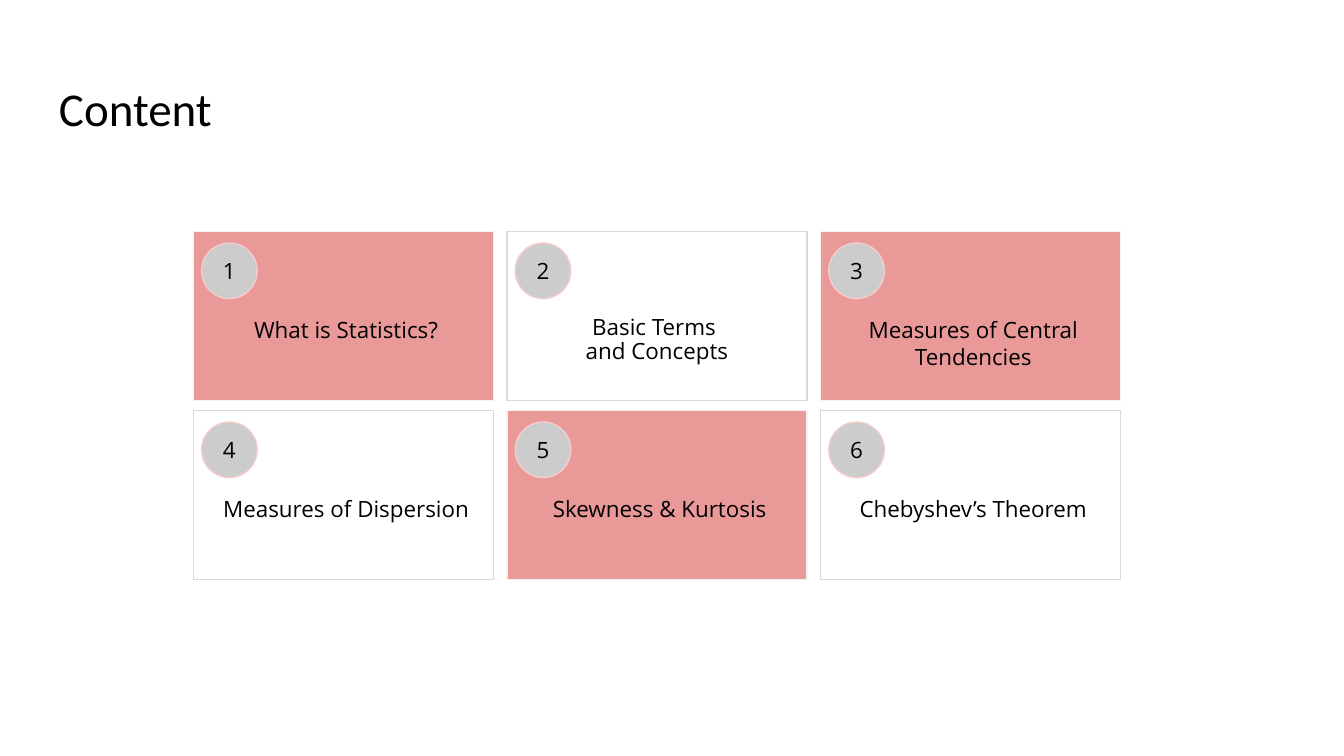
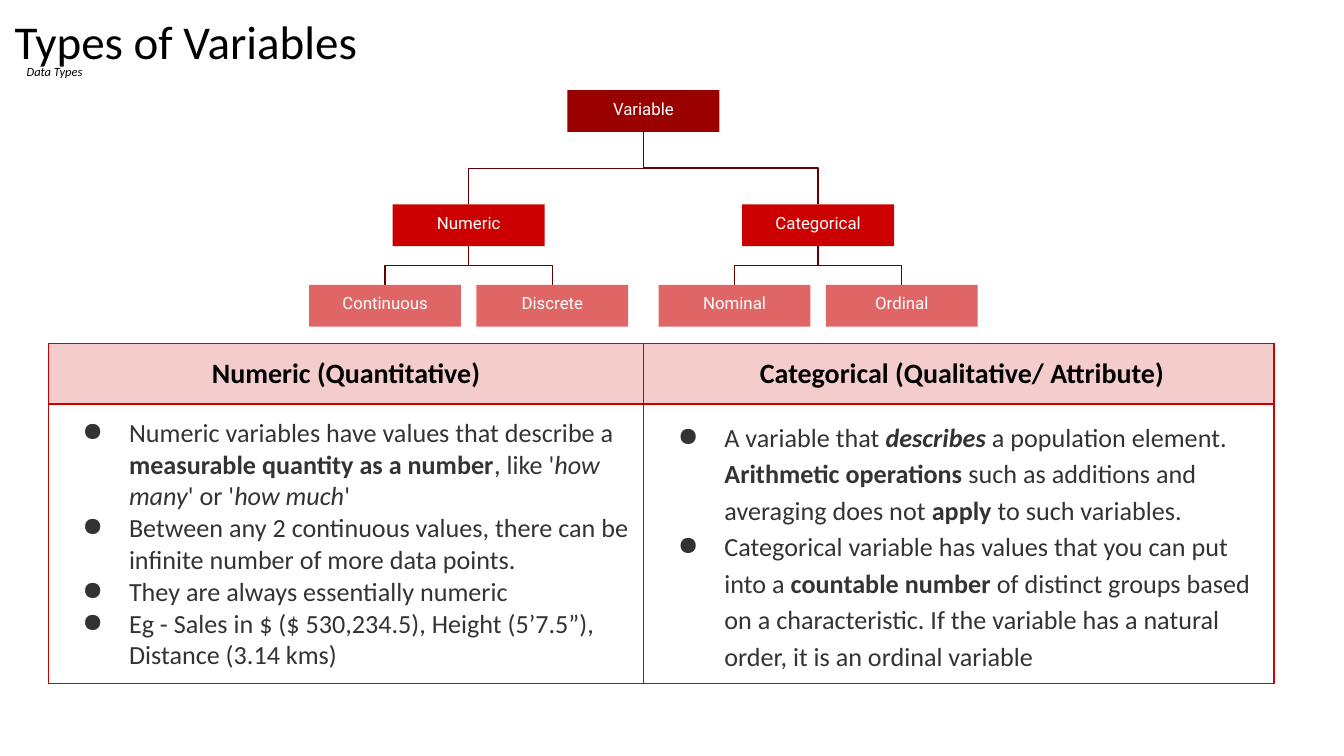
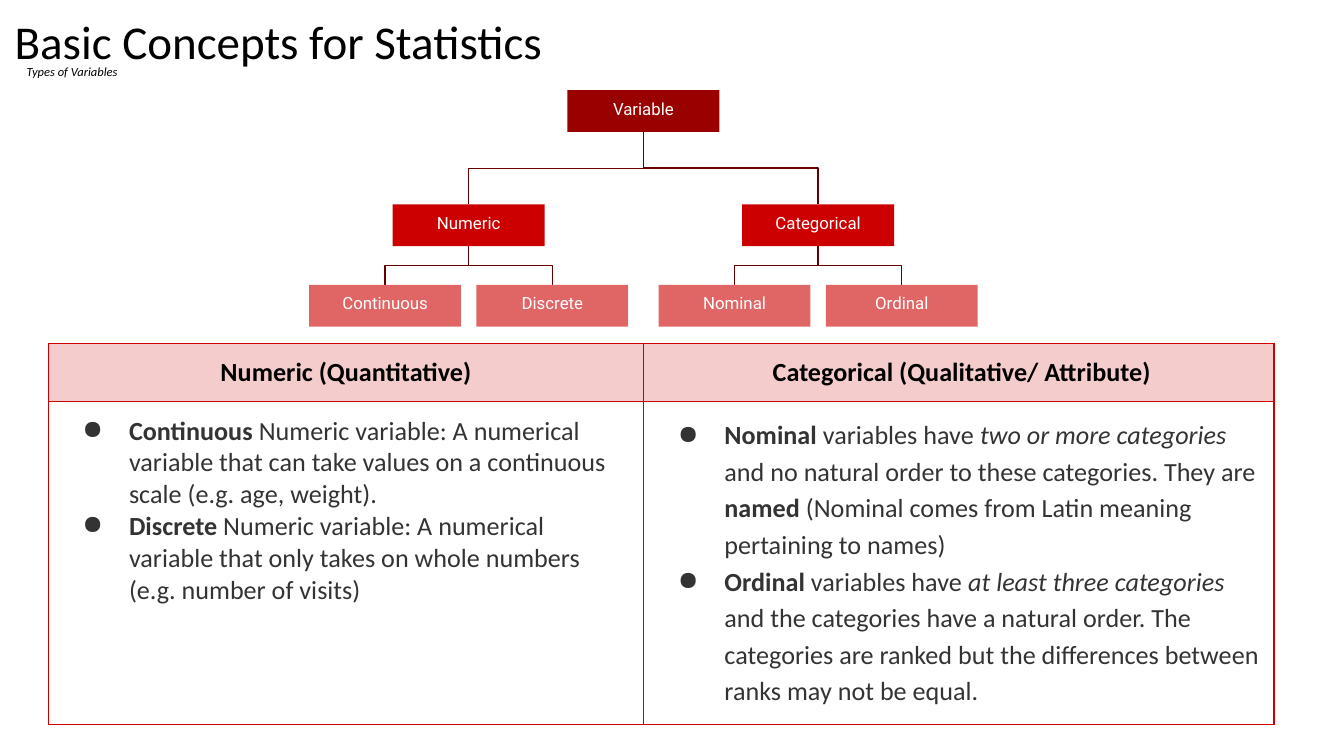
from lxml.etree import SubElement
from pptx import Presentation
from pptx.dml.color import RGBColor
from pptx.enum.shapes import MSO_CONNECTOR, MSO_SHAPE
from pptx.enum.text import MSO_ANCHOR, PP_ALIGN
from pptx.oxml.ns import qn
from pptx.util import Pt

BLACK, GREY, WHITE = "000000", "333333", "FFFFFF"
ROSE, PINK, RED = "EA9999", "F4CCCC", "CC0000"
MAROON = "660000"
BODY, LABEL, NODE = "Calibri", "Open Sans", "Roboto"
INSET = 7.2
LEVELS = [(48.3, "990000"), (109.5, RED), (152.6, "E06666")]
SPREAD = [93.6, 44.8]
NODE_W, NODE_H = 81.4, 22.4

TOPICS = [
    ["What is Statistics?"],
    ["Basic Terms ", "and Concepts"],
    ["Measures of Central Tendencies"],
    ["Measures of Dispersion"],
    ["Skewness & Kurtosis"],
    ["Chebyshev’s Theorem"],
]

TREE = ("Variable", [
    ("Numeric", [("Continuous", []), ("Discrete", [])]),
    ("Categorical", [("Nominal", []), ("Ordinal", [])]),
])

HEADS = ["Numeric (Quantitative)", " Categorical (Qualitative/ Attribute)"]

# A paragraph is a string or a list of runs; a run is a string or (text, "b" / "i" / "bi").
TYPES = [
    [
        ["Numeric variables have values that describe a ",
         ("measurable quantity as a number", "b"), ", like '", ("how many", "i"),
         "' or '", ("how much", "i"), "'"],
        "Between any 2 continuous values, there can be infinite number of more data points.",
        "They are always essentially numeric",
        "Eg - Sales in $ ($ 530,234.5), Height (5’7.5”), Distance (3.14 kms)",
    ],
    [
        ["A variable that ", ("describes", "bi"), " a population element. ",
         ("Arithmetic operations", "b"), " such as additions and averaging does not ",
         ("apply", "b"), " to such variables."],
        ["Categorical variable has values that you can put into a ",
         ("countable number", "b"),
         " of distinct groups based on a characteristic. If the variable has a natural "
         "order, it is an ordinal variable"],
    ],
]

BASICS = [
    [
        [("Continuous", "b"), " Numeric variable: A numerical variable that can take "
         "values on a continuous scale (e.g. age, weight)."],
        [("Discrete", "b"), " Numeric variable: A numerical variable that only takes on "
         "whole numbers (e.g. number of visits)"],
    ],
    [
        [("Nominal", "b"), " variables have ", ("two or more categories", "i"),
         " and no natural order to these categories. They are ", ("named ", "b"),
         "(Nominal comes from Latin meaning pertaining to names)"],
        [("Ordinal", "b"), " variables have ", ("at least three categories", "i"),
         " and the categories have a natural order. The categories are ranked but the "
         "differences between ranks may not be equal."],
    ],
]


def color(code):
    return RGBColor.from_string(code)


def bullet(para):
    props = para._p.get_or_add_pPr()
    props.set("marL", str(Pt(36)))
    props.set("indent", str(Pt(-25)))
    tint = SubElement(props, qn("a:buClr"))
    SubElement(tint, qn("a:srgbClr")).set("val", GREY)
    SubElement(props, qn("a:buChar")).set("char", "●")


def write(frame, paras, size=12, font=BODY, ink=BLACK, align=PP_ALIGN.LEFT,
          style="", spacing=None, after=None, dots=False):
    for i, runs in enumerate(paras):
        para = frame.add_paragraph() if i else frame.paragraphs[0]
        para.alignment = align
        if spacing:
            para.line_spacing = spacing
        if after:
            para.space_after = Pt(after)
        if dots:
            bullet(para)
        for part in [runs] if isinstance(runs, str) else runs:
            words, marks = (part, style) if isinstance(part, str) else part
            run = para.add_run()
            run.text = words
            run.font.name, run.font.size = font, Pt(size)
            run.font.color.rgb = color(ink)
            run.font.bold, run.font.italic = "b" in marks, "i" in marks


def setup(frame, anchor=MSO_ANCHOR.TOP, inset=INSET):
    frame.word_wrap = True
    frame.vertical_anchor = anchor
    frame.margin_left = frame.margin_right = Pt(inset)
    frame.margin_top = frame.margin_bottom = Pt(inset)
    return frame


def label(slide, box, paras, **form):
    area = slide.shapes.add_textbox(*map(Pt, box))
    write(setup(area.text_frame), paras, **form)


def shape(slide, kind, box, fill=None, line=None):
    item = slide.shapes.add_shape(kind, *map(Pt, box))
    item.shadow.inherit = False
    if fill:
        item.fill.solid()
        item.fill.fore_color.rgb = color(fill)
    else:
        item.fill.background()
    if line:
        item.line.color.rgb = color(line)
        item.line.width = Pt(0.75)
    else:
        item.line.fill.background()
    return item


def title(slide, left, top, words):
    label(slide, (left, top, 671, 45.4), [words], size=25.2)


def tile(slide, box, num, lines):
    left, top, wide, high = box
    fill, edge = (ROSE, "F3F3F3") if num % 2 else (None, "D9D9D9")
    shape(slide, MSO_SHAPE.RECTANGLE, box, fill, edge)
    disc = shape(slide, MSO_SHAPE.OVAL, (left + 4.3, top + 6.2, 29.8, 29.8), "CCCCCC", PINK)
    write(setup(disc.text_frame, MSO_ANCHOR.MIDDLE, 0), [str(num)],
          font=LABEL, align=PP_ALIGN.CENTER)
    split = len(lines) > 1
    shift, trim = (8.6, 17.2) if split else (2.9, 2.9)
    label(slide, (left + shift, top + 38.2, wide - trim, high - 38.2), lines,
          font=LABEL, align=PP_ALIGN.CENTER, spacing=0.9 if split else None)


def grid(slide, left, top):
    wide, high = 160.6, 90.6
    for i, lines in enumerate(TOPICS):
        row, col = divmod(i, 3)
        spot = (left + col * (wide + 7.4), top + row * (high + 5.3), wide, high)
        tile(slide, spot, i + 1, lines)


def elbow(slide, start, end):
    """Link a parent's foot to a child's head; a quarter turn makes it leave downwards."""
    (x0, y0), (x1, y1) = start, end
    midx, midy = (x0 + x1) / 2, (y0 + y1) / 2
    reach = abs(x1 - x0) / 2
    drop = (y1 - y0) / 2 if x1 > x0 else (y0 - y1) / 2
    link = slide.shapes.add_connector(MSO_CONNECTOR.ELBOW, Pt(midx + drop), Pt(midy - reach),
                                      Pt(midx - drop), Pt(midy + reach))
    link.line.color.rgb = color(MAROON)
    link.line.width = Pt(0.75)
    props = link._element.spPr
    props.find(qn("a:xfrm")).set("rot", str(270 * 60000))
    SubElement(props, qn("a:effectLst"))


def branch(slide, node, mid, depth=0):
    name, kids = node
    top, fill = LEVELS[depth]
    for side, kid in zip((-1, 1), kids):
        spot = mid + side * SPREAD[depth]
        elbow(slide, (mid, top + NODE_H), (spot, LEVELS[depth + 1][0]))
        branch(slide, kid, spot, depth + 1)
    box = shape(slide, MSO_SHAPE.RECTANGLE, (mid - NODE_W / 2, top, NODE_W, NODE_H), fill)
    write(setup(box.text_frame, MSO_ANCHOR.BOTTOM), [name], size=9, font=NODE,
          ink=WHITE, align=PP_ALIGN.CENTER)


def border(cell):
    props = cell._tc.get_or_add_tcPr()
    for i, side in enumerate(("a:lnL", "a:lnR", "a:lnT", "a:lnB")):
        line = props.makeelement(qn(side), {"w": str(Pt(0.75))})
        props.insert(i, line)
        fill = SubElement(line, qn("a:solidFill"))
        SubElement(fill, qn("a:srgbClr")).set("val", RED)


def chart(slide, left, top, rows, size, lists):
    """Compare the two kinds of variable in a table."""
    cols = [319, 337.6]
    frame = slide.shapes.add_table(2, 2, Pt(left), Pt(top), Pt(sum(cols)), Pt(sum(rows)))
    table = frame.table
    table.horz_banding = False
    for row, high in zip(table.rows, rows):
        row.height = Pt(high)
    for i, wide in enumerate(cols):
        table.columns[i].width = Pt(wide)
        head, body = table.cell(0, i), table.cell(1, i)
        for cell in (head, body):
            cell.margin_left = cell.margin_right = Pt(INSET)
            cell.margin_top = cell.margin_bottom = Pt(INSET)
            border(cell)
        head.fill.solid()
        head.fill.fore_color.rgb = color(PINK)
        body.fill.background()
        write(head.text_frame, [HEADS[i]], size=size, align=PP_ALIGN.CENTER, style="b")
        write(body.text_frame, lists[i], size=14, ink=GREY, dots=True,
              spacing=1.15 if i else None)


def content(slide):
    title(slide, 24.5, 35.3, "Content")
    grid(slide, 103.7, 124)


def kinds(slide, name, note, rows, size, lists):
    """Fill a slide with the tree of variables above its table."""
    title(slide, 0.7, -0.7, name)
    label(slide, (7.2, 31, 165.6, 35.3), [note], size=6.7, style="i", spacing=0.95, after=12)
    branch(slide, TREE, 344.7)
    chart(slide, 25.9, 184, rows, size, lists)


def main():
    deck = Presentation()
    deck.slide_width, deck.slide_height = Pt(720), Pt(405)
    blank = deck.slide_layouts[6]
    first, second, third = (deck.slides.add_slide(blank) for _ in range(3))
    content(first)
    kinds(second, "Types of Variables", "Data Types", (26.6, 120.2), 15, TYPES)
    kinds(third, "Basic Concepts for Statistics", "Types of Variables",
          (28.8, 172.8), 14, BASICS)
    deck.save("out.pptx")


if __name__ == "__main__":
    main()
